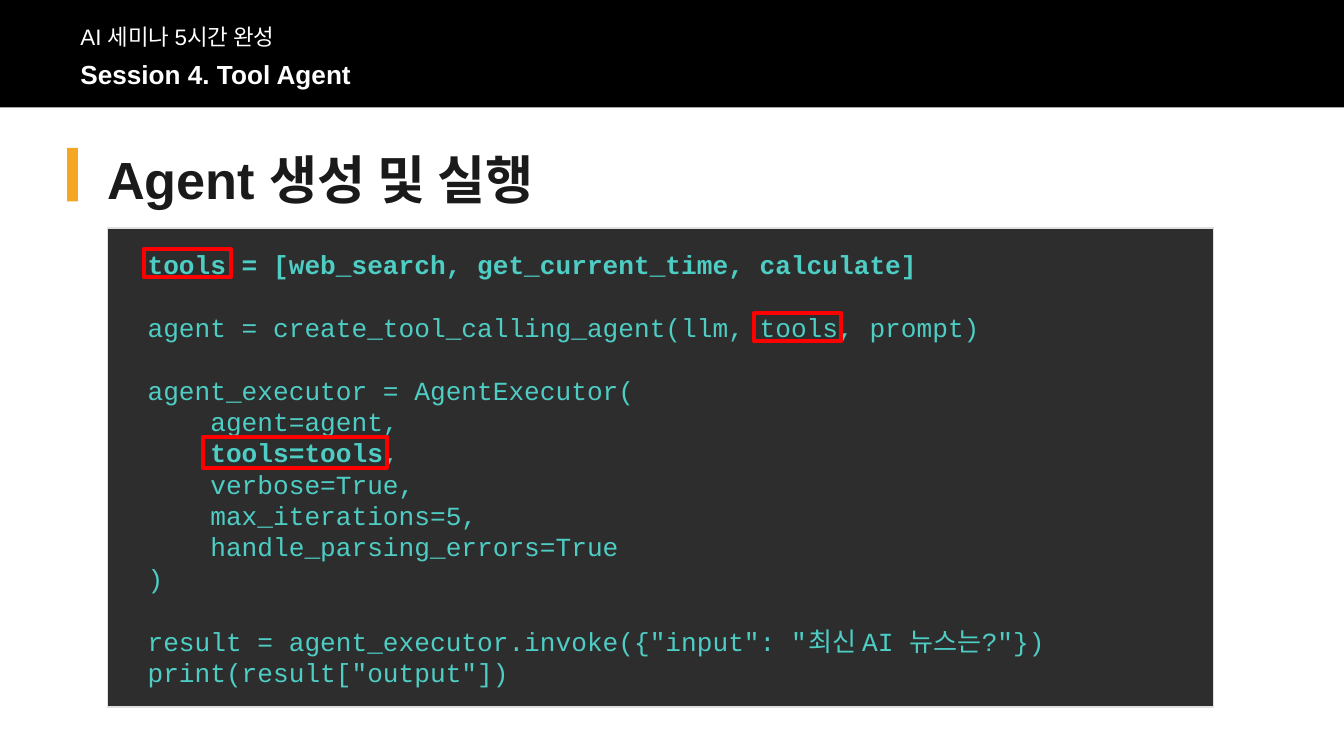
from dataclasses import dataclass

from pptx import Presentation
from pptx.dml.color import RGBColor as Rgb
from pptx.enum.shapes import MSO_SHAPE as Shape
from pptx.enum.text import MSO_ANCHOR as Anchor
from pptx.util import Pt


@dataclass(frozen=True)
class Theme:
    black: str = "000000"
    white: str = "FFFFFF"
    ink: str = "1A1A1A"
    accent: str = "F5A623"
    panel: str = "2D2D2D"
    border: str = "E0E0E0"
    code: str = "4ECDC4"
    mark: str = "FF0000"
    sans: str = "Arial"
    mono: str = "Courier New"
    small: float = 12
    body: float = 14
    title: float = 28
    code_line: float = 16.8


THEME = Theme()

# Each block is a list of code lines; a blank line parts the blocks
CODE_BLOCKS = [
    ["tools = [web_search, get_current_time, calculate]"],
    ["agent = create_tool_calling_agent(llm, tools, prompt)"],
    [
        "agent_executor = AgentExecutor(",
        "    agent=agent,",
        "    tools=tools,",
        "    verbose=True,",
        "    max_iterations=5,",
        "    handle_parsing_errors=True",
        ")",
    ],
    [
        'result = agent_executor.invoke({"input": "최신 AI 뉴스는?"})',
        'print(result["output"])',
    ],
]
BOLD_LINES = {CODE_BLOCKS[0][0], CODE_BLOCKS[2][2]}

# Left, top, width and height of each mark, from the panel's corner
MARKS = [
    (19.4, 10.8, 46.8, 15.1),
    (51.1, 111.6, 98.6, 16.6),
    (346.3, 45.4, 46.8, 15.1),
]


def add_box(page, box, fill=None, line=None, weight=1):
    shape = page.shapes.add_shape(Shape.RECTANGLE, *map(Pt, box))
    shape.shadow.inherit = False
    if fill:
        shape.fill.solid()
        shape.fill.fore_color.rgb = Rgb.from_string(fill)
    else:
        shape.fill.background()
    if line:
        shape.line.color.rgb = Rgb.from_string(line)
        shape.line.width = Pt(weight)
    else:
        shape.line.fill.background()


def add_frame(page, box, anchor):
    frame = page.shapes.add_textbox(*map(Pt, box)).text_frame
    frame.word_wrap = True
    frame.vertical_anchor = anchor
    return frame


def style(para, name, size, color, bold=False):
    font = para.font
    font.name, font.size, font.bold = name, Pt(size), bold
    font.color.rgb = Rgb.from_string(color)


def add_label(page, box, text, size, color, bold=False):
    para = add_frame(page, box, Anchor.MIDDLE).paragraphs[0]
    para.text = text
    style(para, THEME.sans, size, color, bold)


def add_header(page, box):
    left, top, _, _ = box
    add_box(page, box, THEME.black)
    add_label(page, (left + 36, top + 10.8, 360, 18),
              "AI 세미나 5시간 완성", THEME.small, THEME.white)
    add_label(page, (left + 36, top + 28.8, 576, 21.6),
              "Session 4. Tool Agent", THEME.body, THEME.white, True)


def add_title(page, box):
    left, top, width, height = box
    add_box(page, (left, top, 5.76, 28.8), THEME.accent)
    add_label(page, (left + 14.4, top, width - 14.4, height),
              "Agent 생성 및 실행", THEME.title, THEME.ink, True)


def add_code(page, box):
    left, top, _, _ = box
    add_box(page, box, THEME.panel, THEME.border)

    # Code text
    frame = add_frame(page, (left + 14.4, top + 7.2, 792, 216), Anchor.TOP)
    para = frame.paragraphs[0]
    for block_index, block in enumerate(CODE_BLOCKS):
        for line_index, line in enumerate(block):
            if block_index or line_index:
                para = frame.add_paragraph()
            if block_index and not line_index:
                para.space_before = Pt(THEME.code_line)
            para.text = line
            para.line_spacing = Pt(THEME.code_line)
            style(para, THEME.mono, THEME.body, THEME.code, line in BOLD_LINES)

    # Red marks around the tools argument
    for x, y, width, height in MARKS:
        add_box(page, (left + x, top + y, width, height),
                line=THEME.mark, weight=2.25)


def main():
    deck = Presentation()
    deck.slide_width, deck.slide_height = Pt(720), Pt(405)
    page = deck.slides.add_slide(deck.slide_layouts[6])
    add_header(page, (0, 0, 720, 57.6))
    add_title(page, (36, 79.2, 806.4, 32.4))
    add_code(page, (57.6, 122.4, 592.56, 256.32))
    deck.save("out.pptx")


if __name__ == "__main__":
    main()
